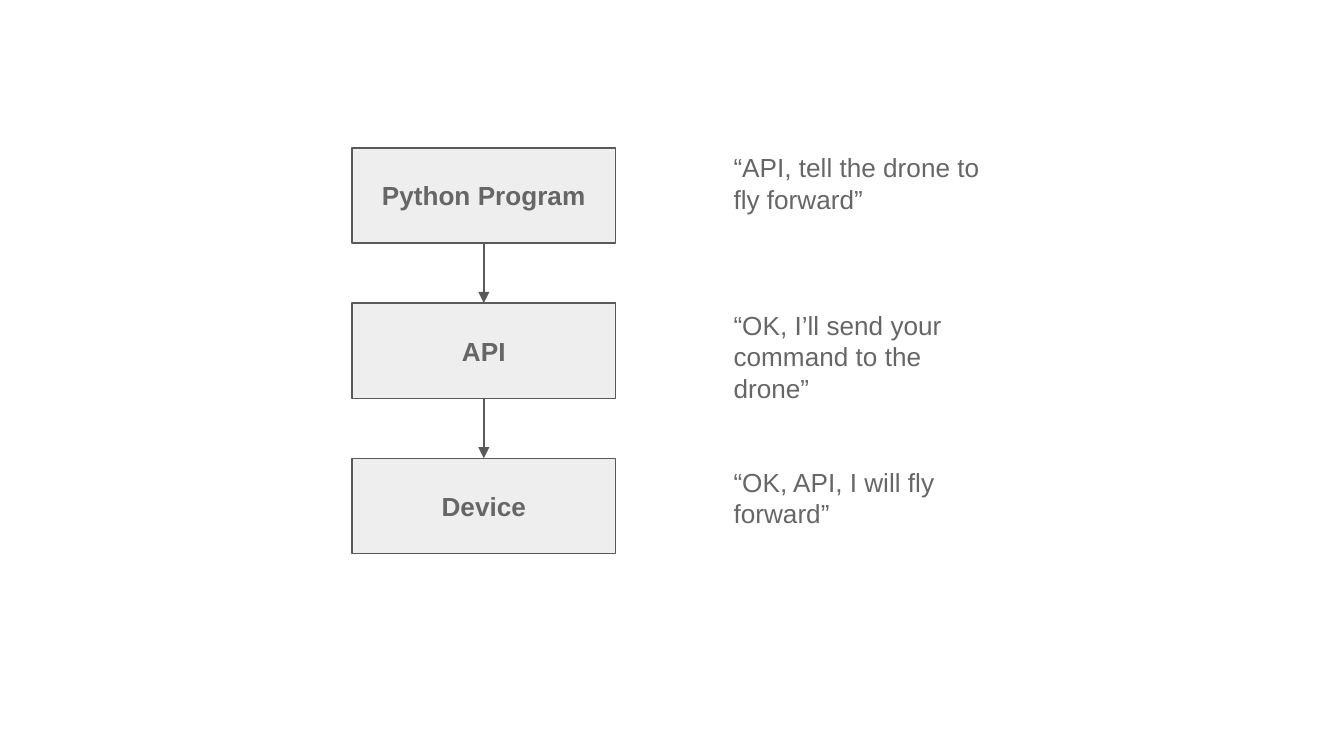
from dataclasses import dataclass

from lxml.etree import SubElement
from pptx import Presentation
from pptx.dml.color import RGBColor
from pptx.enum.shapes import MSO_CONNECTOR as Connector, MSO_SHAPE as Preset
from pptx.enum.text import MSO_ANCHOR as Anchor, PP_ALIGN as Align
from pptx.oxml.ns import qn
from pptx.shapes.autoshape import Shape
from pptx.shapes.shapetree import GroupShapes, SlideShapes
from pptx.text.text import TextFrame, _Paragraph as Paragraph
from pptx.util import Inches, Pt

FONT, FONT_SIZE = "Arial", 14
TEXT, LINE, FILL = "666666", "595959", "EEEEEE"
LINE_WIDTH = 0.75
LINE_HEIGHT = 16.9  # points, used for the gaps between messages

BOX_LEFT, BOX_WIDTH, BOX_HEIGHT = 2.62, 1.96, 0.71
FIRST_TOP, LAST_TOP = 1.1, 3.41
TOP_SIDE, BOTTOM_SIDE = 0, 2  # connection sites of a rectangle


@dataclass
class Layer:
    name: str
    message: str
    lines_before: int  # gap above the message, in text lines


LAYERS = [
    Layer("Python Program", "“API, tell the drone to fly forward”", 0),
    Layer("API", "“OK, I’ll send your command to the drone”", 3),
    Layer("Device", "“OK, API, I will fly forward”", 2),
]


def color(value: str) -> RGBColor:
    return RGBColor.from_string(value)


def set_margins(frame: TextFrame) -> None:
    frame.word_wrap = True
    frame.margin_left = frame.margin_right = Inches(0.1)
    frame.margin_top = frame.margin_bottom = Inches(0.1)


def add_run(paragraph: Paragraph, text: str, bold: bool = False) -> None:
    run = paragraph.add_run()
    run.text = text
    run.font.name = FONT
    run.font.size = Pt(FONT_SIZE)
    run.font.bold = bold
    run.font.color.rgb = color(TEXT)


def add_box(shapes: GroupShapes, name: str, top: float) -> Shape:
    box = shapes.add_shape(Preset.RECTANGLE, Inches(BOX_LEFT), Inches(top),
                           Inches(BOX_WIDTH), Inches(BOX_HEIGHT))
    box.shadow.inherit = False
    box.fill.solid()
    box.fill.fore_color.rgb = color(FILL)
    box.line.color.rgb = color(LINE)
    box.line.width = Pt(LINE_WIDTH)
    set_margins(box.text_frame)
    box.text_frame.vertical_anchor = Anchor.MIDDLE
    paragraph = box.text_frame.paragraphs[0]
    paragraph.alignment = Align.CENTER
    add_run(paragraph, name, bold=True)
    return box


def add_arrow(shapes: GroupShapes, upper: Shape, lower: Shape) -> None:
    center = upper.left + upper.width // 2
    arrow = shapes.add_connector(Connector.STRAIGHT, center,
                                 upper.top + upper.height, center, lower.top)
    arrow.begin_connect(upper, BOTTOM_SIDE)
    arrow.end_connect(lower, TOP_SIDE)
    arrow.line.color.rgb = color(LINE)
    arrow.line.width = Pt(LINE_WIDTH)
    SubElement(arrow.line._get_or_add_ln(), qn("a:tailEnd"), type="triangle")
    SubElement(arrow._element.spPr, qn("a:effectLst"))


def add_messages(shapes: SlideShapes, layers: list[Layer]) -> None:
    frame = shapes.add_textbox(Inches(5.36), Inches(1.03),
                               Inches(2.2), Inches(3.02)).text_frame
    set_margins(frame)
    for index, layer in enumerate(layers):
        paragraph = frame.add_paragraph() if index else frame.paragraphs[0]
        if layer.lines_before:
            paragraph.space_before = Pt(layer.lines_before * LINE_HEIGHT)
        add_run(paragraph, layer.message)


def main() -> None:
    presentation = Presentation()
    presentation.slide_width = Inches(10)
    presentation.slide_height = Inches(10 * 9 / 16)
    slide = presentation.slides.add_slide(presentation.slide_layouts[6])

    # Stack of layers joined by arrows
    stack = slide.shapes.add_group_shape().shapes
    pitch = (LAST_TOP - FIRST_TOP) / (len(LAYERS) - 1)
    boxes = [add_box(stack, layer.name, FIRST_TOP + index * pitch)
             for index, layer in enumerate(LAYERS)]
    for upper, lower in zip(boxes, boxes[1:]):
        add_arrow(stack, upper, lower)

    # What each layer says
    add_messages(slide.shapes, LAYERS)

    presentation.save("out.pptx")


if __name__ == "__main__":
    main()
